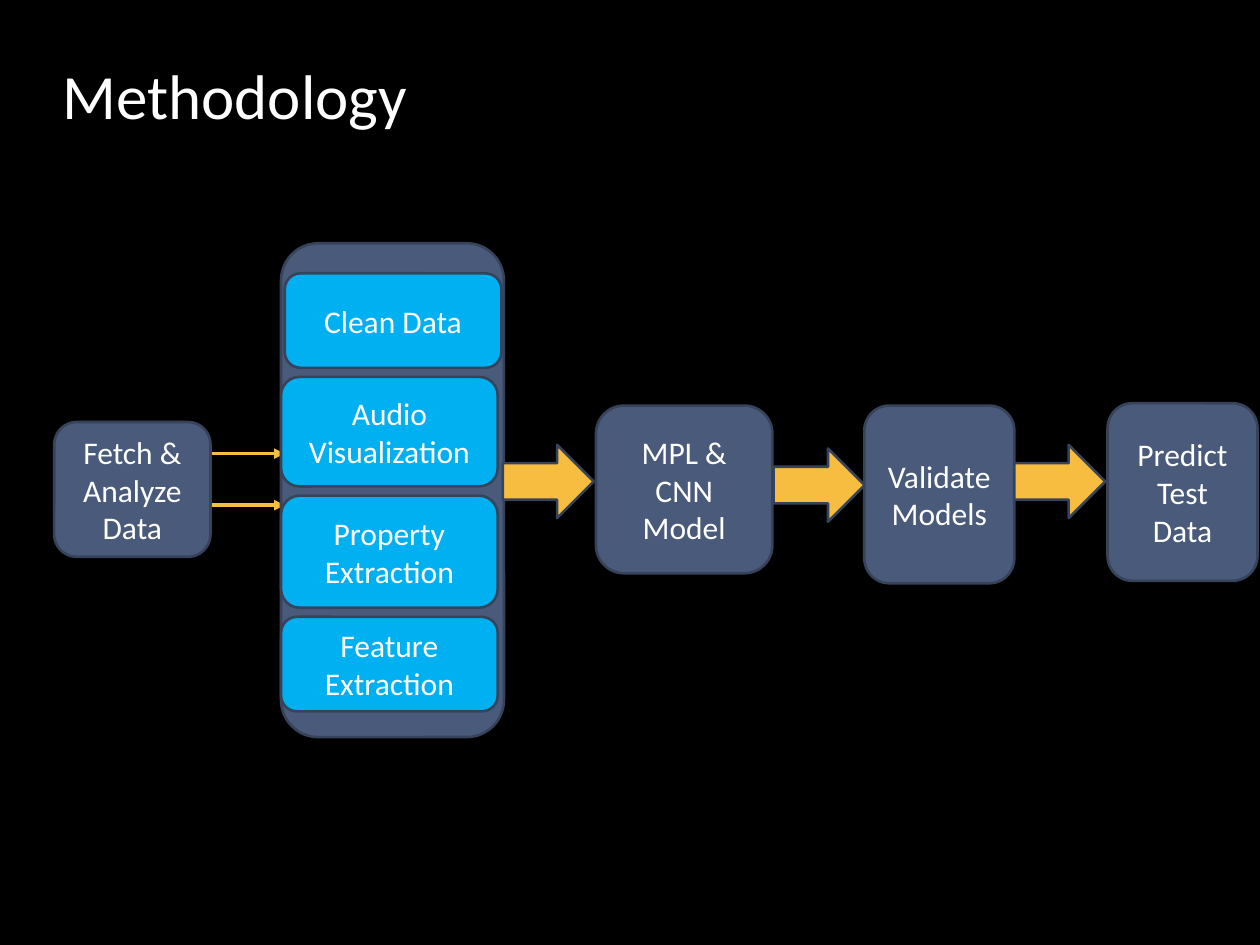
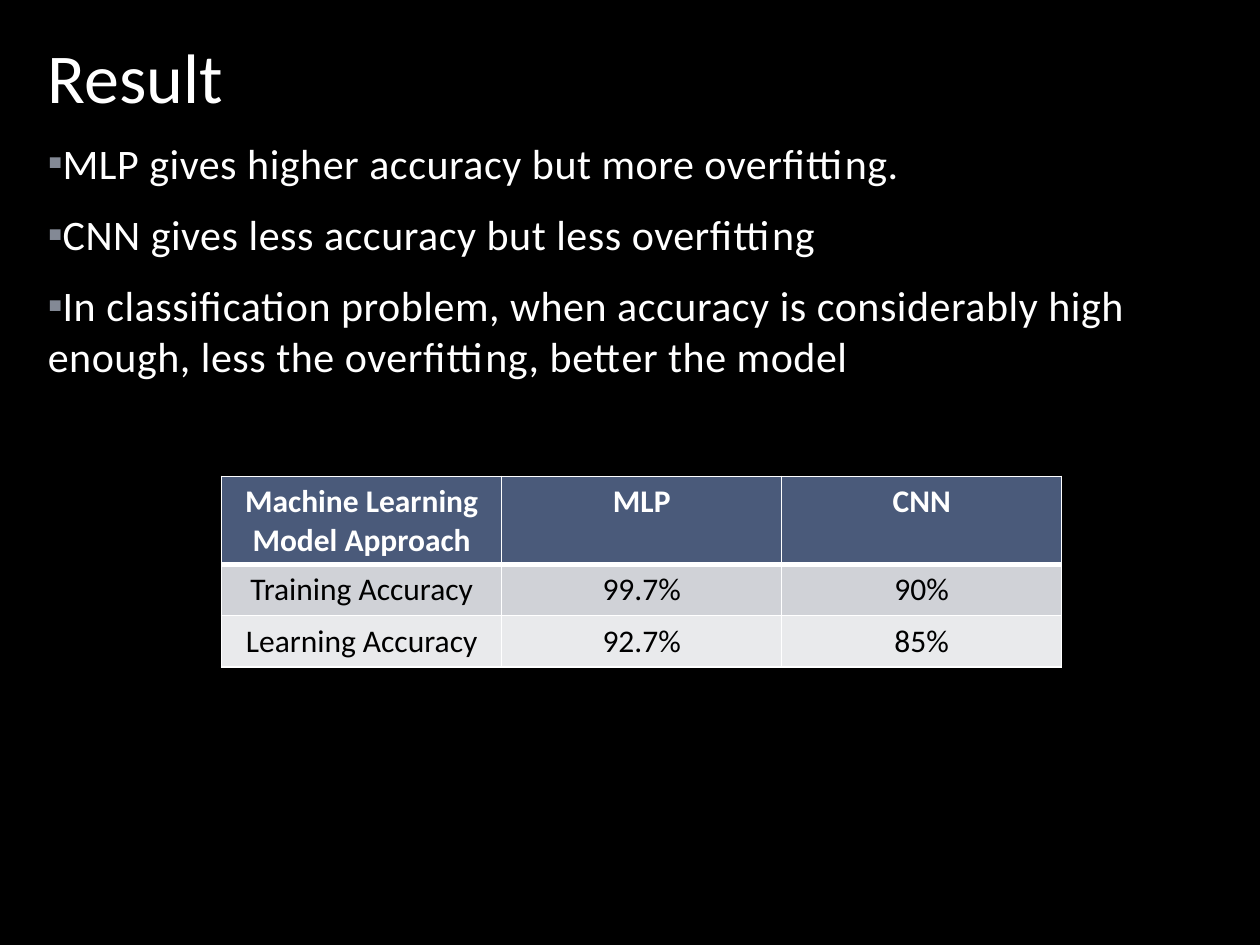
from dataclasses import dataclass

from lxml.etree import SubElement
from pptx import Presentation
from pptx.dml.color import RGBColor
from pptx.enum.shapes import MSO_CONNECTOR, MSO_SHAPE
from pptx.enum.text import MSO_ANCHOR, PP_ALIGN
from pptx.oxml.ns import qn
from pptx.util import Pt

BLACK = RGBColor(0x00, 0x00, 0x00)
WHITE = RGBColor(0xFF, 0xFF, 0xFF)
SLATE = RGBColor(0x4A, 0x5A, 0x7A)
EDGE = RGBColor(0x37, 0x43, 0x5A)
SKY = RGBColor(0x00, 0xB0, 0xF0)
GOLD = RGBColor(0xF7, 0xBD, 0x40)
GREY = RGBColor(0x83, 0x89, 0x95)
BANDS = (RGBColor(0xD0, 0xD2, 0xD7), RGBColor(0xE9, 0xEA, 0xEC))
FACE = "Calibri"


@dataclass
class Area:
    left: float
    top: float
    width: float
    height: float

    def lengths(self) -> tuple:
        return Pt(self.left), Pt(self.top), Pt(self.width), Pt(self.height)


@dataclass
class Block:
    area: Area
    text: str = ""
    fill: RGBColor = SLATE
    kind: MSO_SHAPE = MSO_SHAPE.ROUNDED_RECTANGLE


STEPS = (
    Block(Area(31, 241.2, 89.3, 77), "Fetch & Analyze Data"),
    Block(Area(160.6, 139, 127.4, 282.2)),
    Block(Area(340.6, 231.8, 100.8, 95.8), "MPL & CNN Model"),
    Block(Area(493.9, 231.8, 85.7, 101.5), "Validate Models"),
    Block(Area(632.9, 230.4, 85.7, 101.5), "Predict Test Data"),
)
# Left edge, height and label of each tile, from the top down
TILES = (
    (162.7, 54, "Clean Data"),
    (160.6, 62.6, "Audio Visualization"),
    (160.6, 64.1, "Property Extraction"),
    (160.6, 54, "Feature Extraction"),
)
TILE_TOP, TILE_GAP, TILE_WIDTH = 156.2, 5.2, 123.8
ARROWS = ((287.3, 254.2), (442.1, 256.3), (579.6, 254.2))
FEEDS = (259.2, 288.7)

POINTS = (
    "MLP gives higher accuracy but more overfitting.",
    "CNN gives less accuracy but less overfitting",
    "In classification problem, when accuracy is considerably high enough, "
    "less the overfitting, better the model",
)
SCORES = (
    ("Machine Learning Model Approach", "MLP", "CNN"),
    ("Training Accuracy", "99.7%", "90%"),
    ("Learning Accuracy", "92.7%", "85%"),
)


def style(para, size: float, color: RGBColor = WHITE, bold: bool = False) -> None:
    font = para.font
    font.name, font.size, font.bold = FACE, Pt(size), bold
    font.color.rgb = color


def add_page(deck, title: str, area: Area, size: float):
    """Add a black slide with its title."""
    slide = deck.slides.add_slide(deck.slide_layouts[6])
    slide.background.fill.solid()
    slide.background.fill.fore_color.rgb = BLACK
    frame = slide.shapes.add_textbox(*area.lengths()).text_frame
    frame.word_wrap = True
    frame.vertical_anchor = MSO_ANCHOR.BOTTOM
    frame.text = title
    style(frame.paragraphs[0], size)
    return slide


def add_block(slide, block: Block) -> None:
    shape = slide.shapes.add_shape(block.kind, *block.area.lengths())
    shape.shadow.inherit = False
    shape.fill.solid()
    shape.fill.fore_color.rgb = block.fill
    shape.line.color.rgb = EDGE
    shape.line.width = Pt(1.5)
    if block.text:
        frame = shape.text_frame
        frame.word_wrap = True
        frame.vertical_anchor = MSO_ANCHOR.MIDDLE
        frame.text = block.text
        para = frame.paragraphs[0]
        para.alignment = PP_ALIGN.CENTER
        style(para, 18)


def add_feed(slide, y: float) -> None:
    """Draw a thin arrow from the first step to the tiles."""
    link = slide.shapes.add_connector(
        MSO_CONNECTOR.STRAIGHT, Pt(120.2), Pt(y), Pt(162.7), Pt(y))
    link.line.color.rgb = GOLD
    link.line.width = Pt(2)
    SubElement(link.line._get_or_add_ln(), qn("a:tailEnd"), type="triangle")
    SubElement(link._element.spPr, qn("a:effectLst"))


def add_points(slide, area: Area) -> None:
    frame = slide.shapes.add_textbox(*area.lengths()).text_frame
    frame.word_wrap = True
    for index, text in enumerate(POINTS):
        para = frame.paragraphs[0] if index == 0 else frame.add_paragraph()
        run = para.add_run()
        run.text = text
        run._r.get_or_add_rPr().set("spc", "30")
        if index:
            para.space_before = Pt(12)
        props = para._p.get_or_add_pPr()
        props.set("marL", "0")
        props.set("indent", "0")
        tint = SubElement(props, qn("a:buClr"))
        SubElement(tint, qn("a:srgbClr"), val=str(GREY))
        SubElement(props, qn("a:buFont"), typeface=FACE)
        SubElement(props, qn("a:buChar"), char="▪")
        style(para, 24)


def add_border(cell, side: str, width: float) -> None:
    props = cell._tc.get_or_add_tcPr()
    line = SubElement(props, qn(f"a:ln{side}"), w=str(Pt(width)))
    fill = SubElement(line, qn("a:solidFill"))
    SubElement(fill, qn("a:srgbClr"), val=str(WHITE))


def add_scores(slide, area: Area) -> None:
    table = slide.shapes.add_table(
        len(SCORES), len(SCORES[0]), *area.lengths()).table
    for row, texts in enumerate(SCORES):
        head = row == 0
        for col, text in enumerate(texts):
            cell = table.cell(row, col)
            for side in "LRTB":
                thick = (row, side) in ((0, "B"), (1, "T"))
                add_border(cell, side, 3 if thick else 1)
            cell.fill.solid()
            cell.fill.fore_color.rgb = SLATE if head else BANDS[row - 1]
            cell.text = text
            para = cell.text_frame.paragraphs[0]
            para.alignment = PP_ALIGN.CENTER
            style(para, 18, WHITE if head else BLACK, head)


def draw_method(deck) -> None:
    slide = add_page(deck, "Methodology", Area(28.8, 25.2, 604.8, 54), 36)
    for y in FEEDS:
        add_feed(slide, y)
    for step in STEPS:
        add_block(slide, step)
    top = TILE_TOP
    for left, height, text in TILES:
        add_block(slide, Block(Area(left, top, TILE_WIDTH, height), text, SKY))
        top += height + TILE_GAP
    for left, y in ARROWS:
        area = Area(left, y, 52, 41.8)
        add_block(slide, Block(area, fill=GOLD, kind=MSO_SHAPE.RIGHT_ARROW))


def draw_result(deck) -> None:
    slide = add_page(deck, "Result", Area(20.2, 11.5, 590.4, 59), 40)
    add_scores(slide, Area(126.7, 272.2, 480, 87.6))
    add_points(slide, Area(20.2, 74.9, 691.9, 391))


def main() -> None:
    deck = Presentation()
    deck.slide_width, deck.slide_height = Pt(720), Pt(540)
    draw_method(deck)
    draw_result(deck)
    deck.save("out.pptx")


if __name__ == "__main__":
    main()
